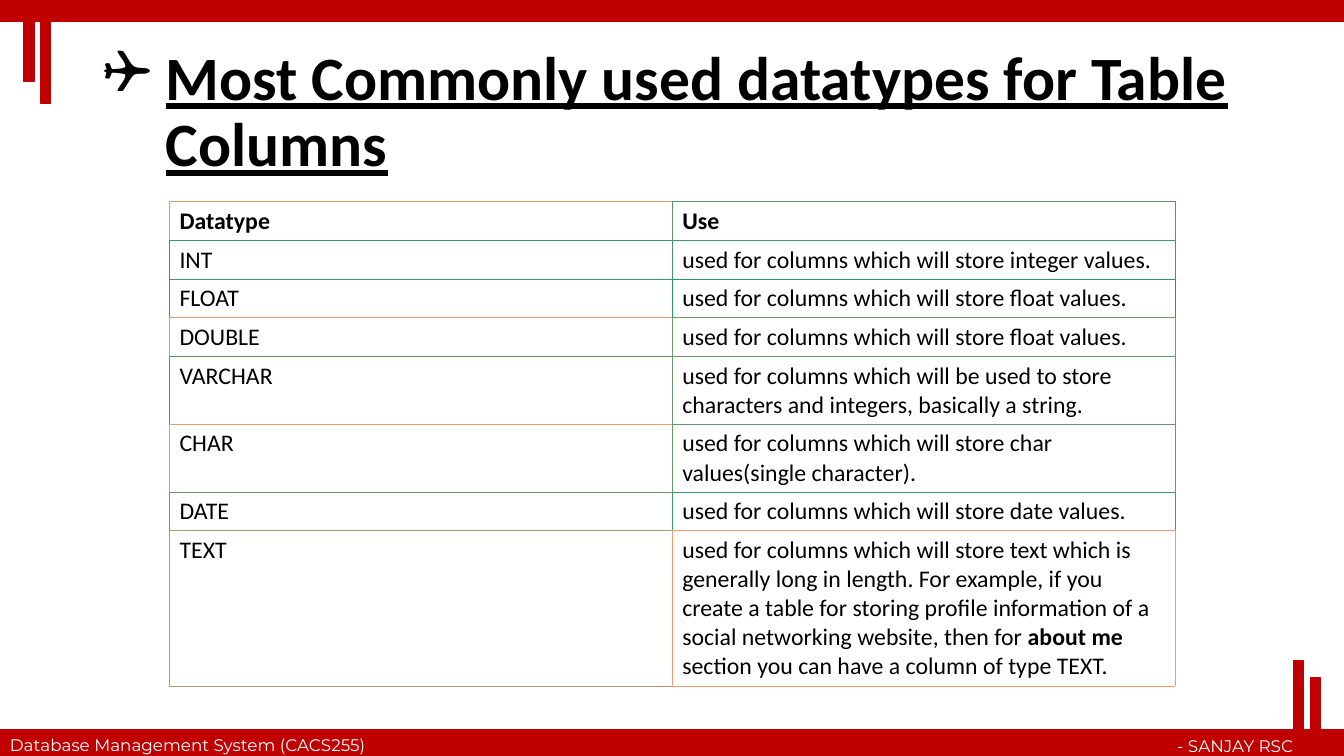
from dataclasses import dataclass
from lxml.etree import SubElement as Sub
from pptx import Presentation
from pptx.dml.color import RGBColor as Rgb
from pptx.enum.shapes import MSO_SHAPE as Shape
from pptx.enum.text import MSO_ANCHOR as Anchor, PP_ALIGN as Align
from pptx.oxml.ns import qn
from pptx.util import Cm, Pt


@dataclass(frozen=True)
class Theme:
    red: str = "C00000"
    ink: str = "000000"
    paper: str = "FFFFFF"
    body: str = "Calibri"
    brand: str = "Montserrat"
    head: int = 44
    cell: int = 17
    foot: int = 12
    rule: float = 0.75


BARS = [
    (0, 18.39, 33.87, 0.66),
    (0, 0, 33.87, 0.53),
    (1.02, 0.03, 0.25, 2.57),
    (0.61, 0.08, 0.25, 1.98),
    (32.61, 16.64, 0.23, 2.39),
    (33.02, 17.07, 0.25, 1.98),
]
WIDTHS = [12.67, 12.67]
# Row height, then the text of both cells; ** marks bold parts.
ROWS = [
    (0.97, "**Datatype**", "**Use**"),
    (0.97, "INT", "used for columns which will store integer values."),
    (0.97, "FLOAT", "used for columns which will store float values."),
    (0.97, "DOUBLE", "used for columns which will store float values."),
    (1.71, "VARCHAR", "used for columns which will be used to store "
     "characters and integers, basically a string."),
    (1.71, "CHAR", "used for columns which will store char "
     "values(single character)."),
    (0.97, "DATE", "used for columns which will store date values."),
    (3.91, "TEXT", "used for columns which will store text which is "
     "generally long in length. For example, if you create a table for "
     "storing profile information of a social networking website, then "
     "for **about me** section you can have a column of type TEXT."),
]
# Border colour of each cell, left and right column.
EDGES = [
    ("E09868", "589968"), ("309A68", "409968"), ("409968", "209B68"),
    ("F09A68", "709968"), ("589968", "689868"), ("F09A68", "609A68"),
    ("709968", "389E68"), ("B09B68", "F89B68"),
]


def write(frame, text, size, font, color, bold=False, under=False,
          align=Align.LEFT, space=None):
    """Fill the first paragraph; parts between ** are bold."""
    para = frame.paragraphs[0]
    para.alignment = align
    if space:
        para.line_spacing = space
    for i, part in enumerate(text.split("**")):
        if part:
            run = para.add_run()
            run.text = part
            run.font.size = Pt(size)
            run.font.name = font
            run.font.bold = bold or i % 2 == 1
            run.font.underline = under
            run.font.color.rgb = Rgb.from_string(color)
    return para


class Deck:
    def __init__(self, theme):
        self.theme = theme
        self.file = Presentation()
        self.file.slide_width, self.file.slide_height = Cm(33.87), Cm(19.05)
        self.slide = self.file.slides.add_slide(self.file.slide_layouts[6])

    def bar(self, *box):
        bar = self.slide.shapes.add_shape(Shape.RECTANGLE, *map(Cm, box))
        bar.shadow.inherit = False
        color = Rgb.from_string(self.theme.red)
        bar.fill.solid()
        bar.fill.fore_color.rgb = color
        bar.line.color.rgb = color
        bar.line.width = Pt(1)

    def text(self, box, text, anchor=Anchor.TOP, **style):
        frame = self.slide.shapes.add_textbox(*map(Cm, box)).text_frame
        frame.word_wrap = True
        frame.vertical_anchor = anchor
        return write(frame, text, **style)

    def title(self, box, text):
        look = self.theme
        para = self.text(box, text, Anchor.MIDDLE, size=look.head,
                         font=look.body, color=look.ink, bold=True,
                         under=True, space=0.9)
        props = para._p.get_or_add_pPr()
        props.set("marL", str(Cm(1.59)))
        props.set("indent", str(-Cm(1.59)))
        Sub(props, qn("a:buFont"), typeface="Wingdings")
        Sub(props, qn("a:buChar"), char="❑")

    def edge(self, cell, side, color):
        line = Sub(cell._tc.get_or_add_tcPr(), qn("a:ln" + side),
                   w=str(Pt(self.theme.rule)))
        Sub(Sub(line, qn("a:solidFill")), qn("a:srgbClr"), val=color)

    def table(self, left, top, widths, rows, edges):
        """Each cell shares its right and lower border with its neighbour."""
        look = self.theme
        high = sum(row[0] for row in rows)
        box = map(Cm, (left, top, sum(widths), high))
        grid = self.slide.shapes.add_table(len(rows), len(widths), *box).table
        grid.first_row = grid.horz_banding = False
        for col, width in zip(grid.columns, widths):
            col.width = Cm(width)
        for r, (height, *texts) in enumerate(rows):
            grid.rows[r].height = Cm(height)
            below = edges[min(r + 1, len(rows) - 1)]
            for c, text in enumerate(texts):
                cell = grid.cell(r, c)
                own, right = edges[r][c], edges[r][-1]
                for side, color in zip("LRTB", (own, right, own, below[c])):
                    self.edge(cell, side, color)
                cell.fill.solid()
                cell.fill.fore_color.rgb = Rgb.from_string(look.paper)
                write(cell.text_frame, text, size=look.cell,
                      font=look.body, color=look.ink)


def main():
    look = Theme()
    deck = Deck(look)
    for box in BARS:
        deck.bar(*box)
    foot = dict(size=look.foot, font=look.brand, color=look.paper)
    deck.text((0, 18.39, 10.57, 0.76),
              "Database Management System (CACS255)", **foot)
    deck.text((24.64, 18.42, 8.2, 0.76), "- SANJAY RSC",
              align=Align.RIGHT, **foot)
    deck.title((2.34, 1.02, 29.21, 3.68),
               "Most Commonly used datatypes for Table Columns")
    deck.table(4.27, 5.08, WIDTHS, ROWS, EDGES)
    deck.file.save("out.pptx")


if __name__ == "__main__":
    main()
